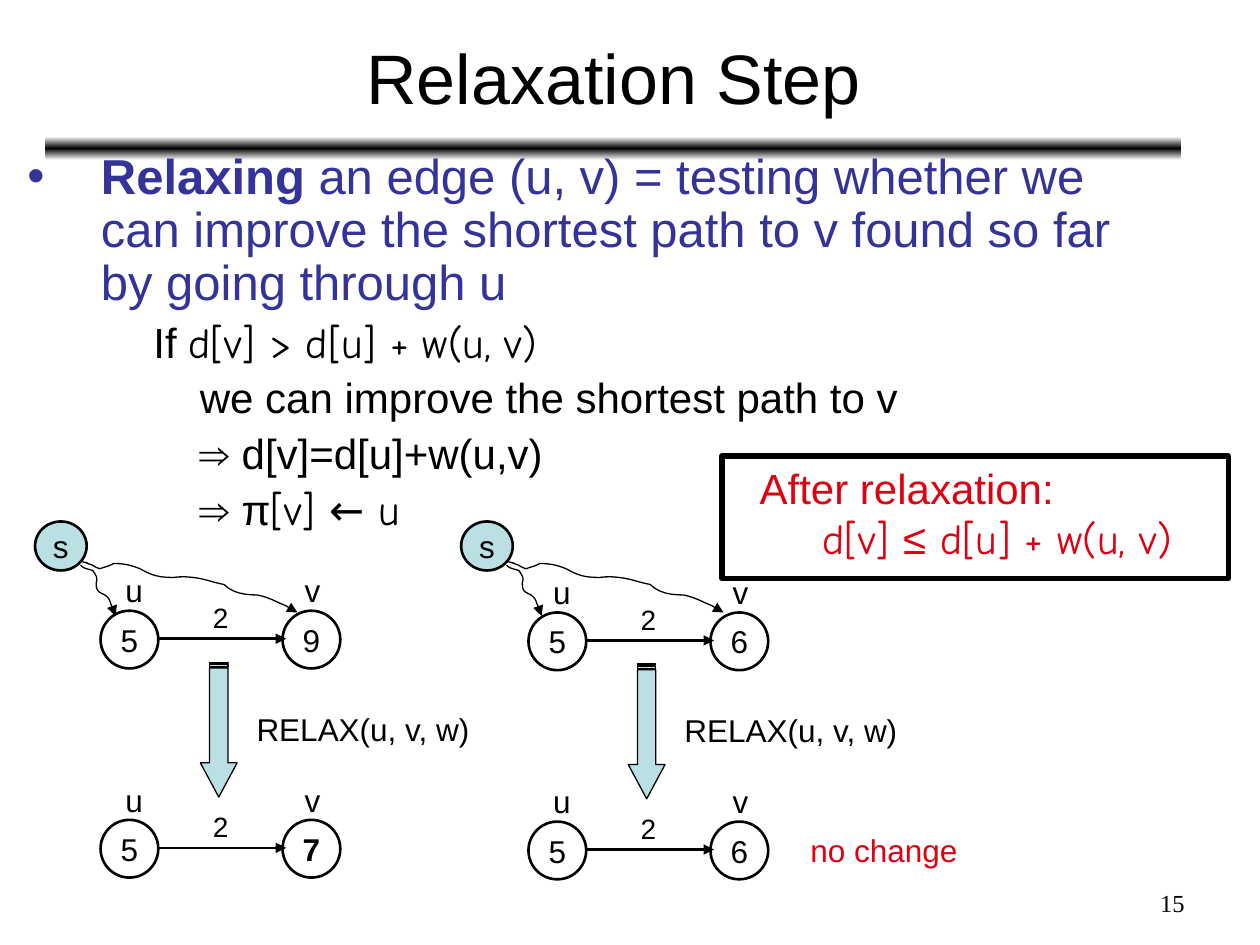
from copy import deepcopy
from lxml.etree import SubElement
from pptx import Presentation
from pptx.dml.color import RGBColor
from pptx.enum.shapes import MSO_CONNECTOR, MSO_SHAPE
from pptx.enum.text import MSO_ANCHOR, MSO_AUTO_SIZE, PP_ALIGN
from pptx.oxml.ns import qn
from pptx.util import Pt

BLACK = RGBColor(0x00, 0x00, 0x00)
WHITE = RGBColor(0xFF, 0xFF, 0xFF)
INDIGO = RGBColor(0x33, 0x33, 0x99)
AQUA = RGBColor(0xBB, 0xE0, 0xE3)
RED = RGBColor(0xDD, 0x01, 0x11)
SANS, COMIC, SERIF = "Arial", "Comic Neue", "Times New Roman"

SHORT_PATH = [(26, 25), (28, 27), (30, 27), (33, 28), (35, 31), (36, 32), (35, 35),
              (35, 40), (36, 40), (40, 42), (44, 45), (42, 46), (45, 50),
              (45, 53), (45, 52), (46, 54)]
LONG_PATH = [(27, 23), (35, 25), (24, 22), (33, 25), (34, 26), (37, 27), (37, 27),
             (43, 25), (41, 26), (45, 24), (51, 24), (55, 25), (60, 27),
             (67, 31), (71, 32), (79, 32), (86, 31), (93, 32), (100, 34),
             (103, 35), (108, 36), (108, 36), (113, 41), (120, 42), (127, 42),
             (133, 43), (138, 46), (143, 48), (145, 49), (148, 51), (150, 52)]


def place(shape, left, top, width, height):
    shape.left, shape.top = Pt(left), Pt(top)
    shape.width, shape.height = Pt(width), Pt(height)


def set_font(font, size, color=BLACK, name=SANS, bold=False):
    font.size, font.name, font.bold = Pt(size), name, bold
    font.color.rgb = color


def add_spans(para, spans):
    for text, name in spans:
        span = para.add_run()
        span.text = text
        span.font.name = name


def indent(para, margin, first=0, bullet=None):
    properties = para._p.get_or_add_pPr()
    properties.set("marL", str(Pt(margin)))
    properties.set("indent", str(Pt(first)))
    if bullet:
        SubElement(properties, qn("a:buFont"), typeface=SANS)
        SubElement(properties, qn("a:buChar"), char=bullet)
    else:
        SubElement(properties, qn("a:buNone"))


def add_arrowhead(shape):
    SubElement(shape.line._get_or_add_ln(), qn("a:tailEnd"), type="triangle")


def add_label(page, text, left, top, width, height=29, size=18, color=BLACK):
    box = page.shapes.add_textbox(Pt(left), Pt(top), Pt(width), Pt(height))
    box.text_frame.word_wrap = False
    box.text_frame.auto_size = MSO_AUTO_SIZE.SHAPE_TO_FIT_TEXT
    para = box.text_frame.paragraphs[0]
    para.text = text
    set_font(para.font, size, color)


def add_outline(page, kind, left, top, width, height, fill=None, weight=1.5):
    shape = page.shapes.add_shape(kind, Pt(left), Pt(top), Pt(width), Pt(height))
    shape.shadow.inherit = False
    if fill is None:
        shape.fill.background()
    else:
        shape.fill.solid()
        shape.fill.fore_color.rgb = fill
    shape.line.color.rgb = BLACK
    shape.line.width = Pt(weight)
    return shape


def add_node(page, text, left, top, width=33, height=33, fill=None, bold=False):
    node = add_outline(page, MSO_SHAPE.OVAL, left, top, width, height, fill)
    frame = node.text_frame
    frame.word_wrap = False
    frame.vertical_anchor = MSO_ANCHOR.MIDDLE
    para = frame.paragraphs[0]
    para.text = text
    para.alignment = PP_ALIGN.CENTER
    set_font(para.font, 18, bold=bold)


def add_edge(page, left, right, y):
    edge = page.shapes.add_connector(
        MSO_CONNECTOR.STRAIGHT, Pt(left), Pt(y), Pt(right), Pt(y))
    edge.line.color.rgb = BLACK
    edge.line.width = Pt(1.5)
    add_arrowhead(edge)
    SubElement(edge._element.spPr, qn("a:effectLst"))


def bezier_points(knots, steps=6):
    for start in range(0, len(knots) - 1, 3):
        for step in range(1, steps + 1):
            t = step / steps
            weights = ((1 - t) ** 3, 3 * t * (1 - t) ** 2, 3 * t * t * (1 - t), t ** 3)
            yield tuple(sum(weight * knot[axis] for weight, knot
                            in zip(weights, knots[start:start + 4])) for axis in (0, 1))


def add_path(page, knots, left, top):
    def shift(point):
        return Pt(left + point[0]), Pt(top + point[1])

    builder = page.shapes.build_freeform(*shift(knots[0]))
    builder.add_line_segments([shift(point) for point in bezier_points(knots)], close=False)
    path = builder.convert_to_shape()
    path.shadow.inherit = False
    path.fill.background()
    path.line.color.rgb = BLACK
    path.line.width = Pt(0.75)
    add_arrowhead(path)


def add_edge_graph(page, left, top, u_value, v_value, bold=False):
    add_node(page, u_value, left, top)
    add_node(page, v_value, left + 104, top, bold=bold)
    add_edge(page, left + 33, left + 106, top + 16)
    add_label(page, "2", left + 57, top - 9.5, 23, 27, 16)
    add_label(page, "u", left + 7, top - 26, 24)
    add_label(page, "v", left + 109.5, top - 26, 23)


def add_relaxation(page, left, top, before, after, bold=False):
    add_edge_graph(page, left, top, "5", before)
    add_edge_graph(page, left, top + 119.5, "5", after, bold)
    arrow = add_outline(page, MSO_SHAPE.STRIPED_RIGHT_ARROW,
                        left + 29, top + 57.5, 77, 21, AQUA, 0.75)
    arrow.rotation = 90
    arrow.adjustments[0], arrow.adjustments[1] = 0.5, 0.93
    add_label(page, "RELAX(u, v, w)", left + 82, top + 53, 137.5)


def add_source(page, left, top):
    add_node(page, "s", left, top, 29.5, 28, AQUA)
    add_path(page, SHORT_PATH, left, top)
    add_path(page, LONG_PATH, left, top)


def add_rule(page):
    rule = page.shapes.add_shape(
        MSO_SHAPE.ROUNDED_RECTANGLE, Pt(26), Pt(78), Pt(649), Pt(13.5))
    rule.shadow.inherit = False
    rule.line.fill.background()
    rule.fill.gradient()
    rule.fill.gradient_angle = 90
    first, last = rule.fill.gradient_stops
    first.color.rgb, first.position = WHITE, 0
    last.color.rgb, last.position = BLACK, 0.5
    stops = rule._element.spPr.find(qn("a:gradFill")).find(qn("a:gsLst"))
    end = deepcopy(stops[0])
    end.set("pos", "100000")
    stops.append(end)
    page.shapes._spTree.insert(2, rule._element)


def fill_title(title):
    place(title, 26.5, 8, 648, 71)
    title.text_frame.vertical_anchor = MSO_ANCHOR.MIDDLE
    title.text_frame.auto_size = MSO_AUTO_SIZE.NONE
    para = title.text_frame.paragraphs[0]
    para.text = "Relaxation Step"
    para.alignment = PP_ALIGN.CENTER
    set_font(para.font, 40)


def fill_body(body):
    place(body, 8.5, 83.5, 648, 230)
    frame = body.text_frame
    frame.auto_size = MSO_AUTO_SIZE.NONE
    para = frame.paragraphs[0]
    para.line_spacing, para.space_before = 0.9, Pt(7)
    indent(para, 42, -42, "•")
    set_font(para.font, 28, INDIGO)
    add_spans(para, [("Relaxing ", SANS),
                     ("an edge (u, v) = testing whether we can improve the shortest "
                      "path to v found so far by going through u", SANS)])
    para.runs[0].font.bold = True
    steps = [(72, [("If ", SANS), ("d[v] > d[u] + w(u, v)", COMIC)]),
             (98.5, [("we can improve the shortest path to v", SANS)]),
             (98.5, [("⇒ d[v]=d[u]+w(u,v)", SANS)]),
             (98.5, [("⇒ π", SANS), ("[v] ← u", COMIC)])]
    for margin, spans in steps:
        para = frame.add_paragraph()
        para.level = 1
        para.line_spacing, para.space_before = 0.9, Pt(6)
        indent(para, margin)
        set_font(para.font, 24)
        add_spans(para, spans)


def add_conclusion(page):
    box = page.shapes.add_textbox(Pt(427), Pt(260.5), Pt(267), Pt(65))
    frame = box.text_frame
    frame.word_wrap = True
    lines = [(0, [("After relaxation:", SANS)]),
             (36, [("d[v] ", COMIC), ("≤", SANS), (" d[u] + w(u, v)", COMIC)])]
    for number, (margin, spans) in enumerate(lines):
        para = frame.add_paragraph() if number else frame.paragraphs[0]
        indent(para, margin)
        set_font(para.font, 24, RED)
        add_spans(para, spans)
    add_outline(page, MSO_SHAPE.RECTANGLE, 412.5, 260.5, 289.5, 70, weight=3)


def add_page_number(page):
    box = page.shapes.add_textbox(Pt(516), Pt(504), Pt(168), Pt(25))
    para = box.text_frame.paragraphs[0]
    box.text_frame.word_wrap = True
    para.text = "15"
    para.alignment = PP_ALIGN.RIGHT
    set_font(para.font, 14, name=SERIF)


def main():
    deck = Presentation()
    deck.slide_width, deck.slide_height = Pt(720), Pt(540)
    page = deck.slides.add_slide(deck.slide_layouts[1])
    add_rule(page)
    fill_title(page.shapes.title)
    fill_body(page.placeholders[1])
    add_relaxation(page, 57.5, 349, "9", "7", bold=True)
    add_relaxation(page, 302, 350, "6", "6")
    add_conclusion(page)
    for left in (20, 263.5):
        add_source(page, left, 298)
    add_label(page, "no change", 456, 471.5, 98.5, color=RED)
    add_page_number(page)
    deck.save("out.pptx")


if __name__ == "__main__":
    main()
